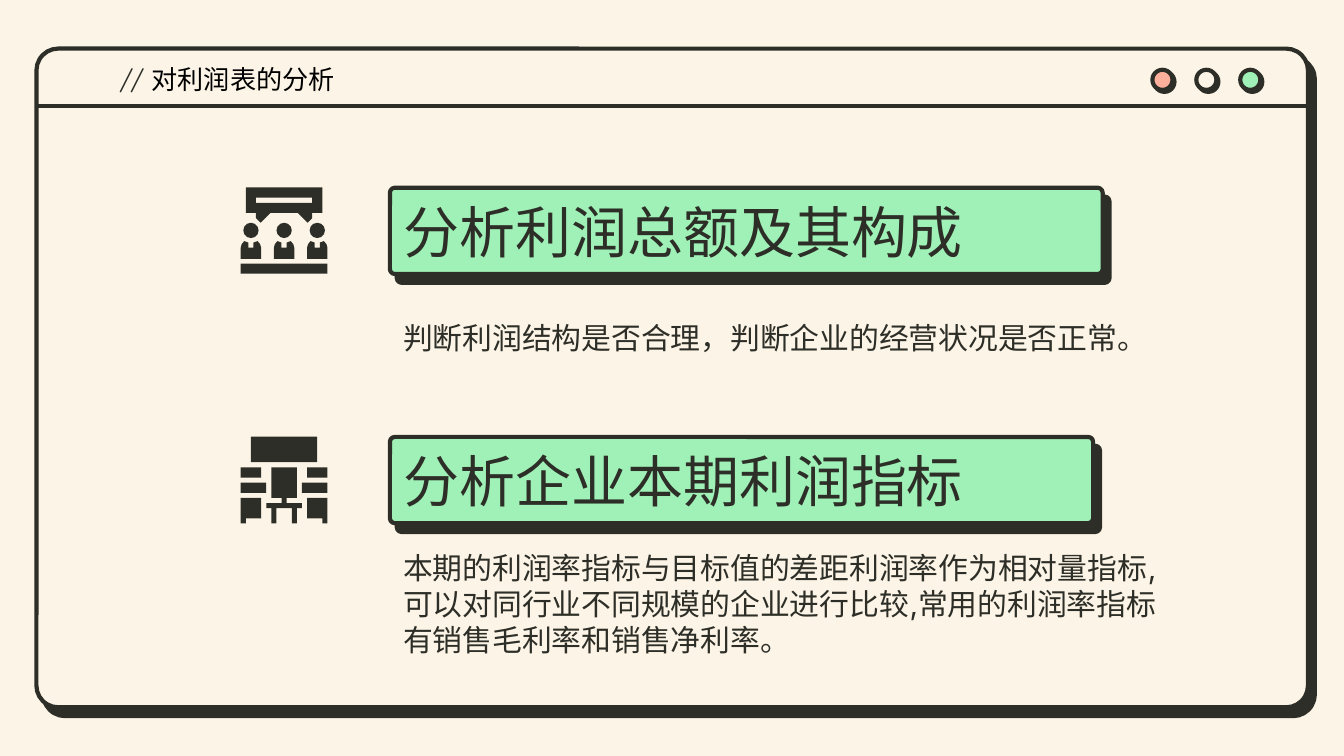
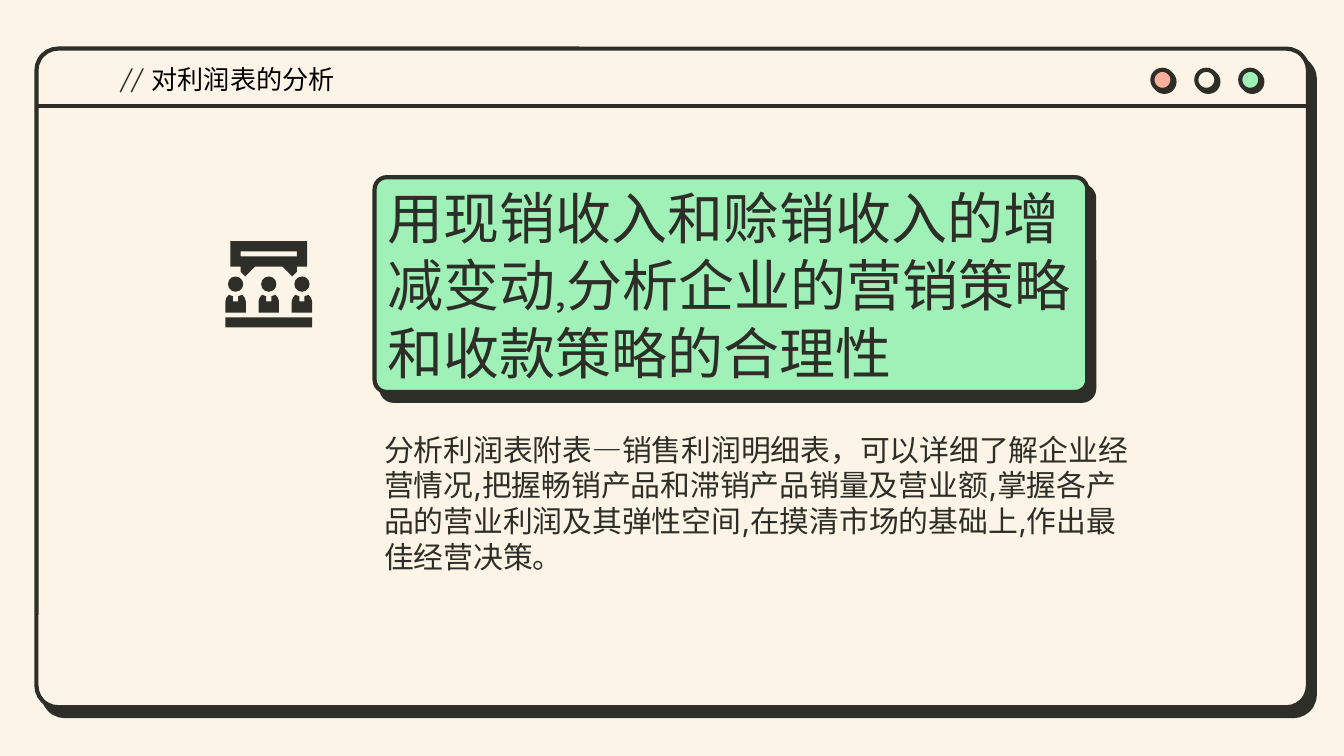
import pptx
import pptx.dml.color
import pptx.enum.shapes
import pptx.enum.text
import pptx.oxml
import pptx.oxml.ns
import pptx.util
from pptx.util import Cm

INK, CREAM, CORAL, MINT = "2D2E27", "FCF4E6", "FFB09C", "9FF1B7"
SHAPE = pptx.enum.shapes.MSO_SHAPE

# Boxes are (left, top, width, height) in centimetres
WINDOW = (0.69, 0.92, 24.03, 12.45)
ICON_SIZE = 1.64
ICON_GRID = 17  # icons are drawn on a 17 by 17 grid
ICON_OFFSET = 2.82  # from the left of the icon to the left of its banner
BODY_SIZE = (14.83, 1.35)


def color(code):
    return pptx.dml.color.RGBColor.from_string(code)


def add_effects(shape, distance=None, angle=0):
    """Replace the theme shadow by none, or by a hard one in ink."""
    namespace = pptx.oxml.ns.nsdecls("a")
    shadow = ""
    if distance:
        shadow = (
            f'<a:outerShdw blurRad="0" dist="{pptx.util.Pt(distance)}" '
            f'dir="{angle * 60000}" algn="bl" rotWithShape="0">'
            f'<a:srgbClr val="{INK}"/></a:outerShdw>'
        )
    effects = pptx.oxml.parse_xml(f"<a:effectLst {namespace}>{shadow}</a:effectLst>")
    shape._element.spPr.append(effects)


def add_panel(page, kind, box, fill, distance, angle, corner=None):
    """Outlined shape with a hard shadow."""
    panel = page.shapes.add_shape(kind, *map(Cm, box))
    if corner is not None:
        panel.adjustments[0] = corner
    panel.fill.solid()
    panel.fill.fore_color.rgb = color(fill)
    panel.line.color.rgb = color(INK)
    panel.line.width = pptx.util.Pt(2.25)
    add_effects(panel, distance, angle)


def add_text(page, box, spans, size):
    """One paragraph, centred vertically; spans are (text, font, colour)."""
    frame = page.shapes.add_textbox(*map(Cm, box)).text_frame
    frame.word_wrap = True
    frame.vertical_anchor = pptx.enum.text.MSO_ANCHOR.MIDDLE
    frame.margin_left = frame.margin_right = Cm(0.25)
    frame.margin_top = frame.margin_bottom = Cm(0.25)
    para = frame.paragraphs[0]
    # Keep punctuation inside the margin
    para._p.get_or_add_pPr().set("hangingPunct", "0")
    for text, font, code in spans:
        span = para.add_run()
        span.text = text
        span.font.name = font
        span.font.size = pptx.util.Pt(size)
        span.font.color.rgb = color(code)


def draw_window(page, box, title):
    """Browser-like frame with title, divider and three buttons."""
    left, top, width, _ = box
    add_panel(page, SHAPE.ROUNDED_RECTANGLE, box, CREAM, 6, 52, 0.033)

    # Divider below the title bar
    height = Cm(top + 1.08)
    divider = page.shapes.add_connector(
        pptx.enum.shapes.MSO_CONNECTOR.STRAIGHT, Cm(left), height, Cm(left + width), height
    )
    divider.line.color.rgb = color(INK)
    divider.line.width = pptx.util.Pt(2.25)
    add_effects(divider)

    # Buttons
    for index, fill in enumerate((CORAL, CREAM, MINT)):
        button = (left + 21.09 + index * 0.83, top + 0.4, 0.38, 0.38)
        add_panel(page, SHAPE.OVAL, button, fill, 1.5, 45)

    # Title
    spans = [("// ", "Quicksand", INK), (title, "Arial", "000000")]
    add_text(page, (left + 1.32, top + 0.12, 11.68, 0.91), spans, 14)


class Icon:
    """Group of ink shapes placed on the icon grid."""

    def __init__(self, page, left, top):
        self.shapes = page.shapes.add_group_shape().shapes
        self.left, self.top = left, top
        self.unit = ICON_SIZE / ICON_GRID

    def point(self, x, y):
        return Cm(self.left + x * self.unit), Cm(self.top + y * self.unit)

    def paint(self, shape):
        shape.fill.solid()
        shape.fill.fore_color.rgb = color(INK)
        shape.line.fill.background()
        add_effects(shape)

    def preset(self, kind, x, y, width, height):
        size = Cm(width * self.unit), Cm(height * self.unit)
        self.paint(self.shapes.add_shape(kind, *self.point(x, y), *size))

    def outline(self, *contours):
        builder = None
        for contour in contours:
            start, *others = [self.point(x, y) for x, y in contour]
            if builder is None:
                builder = self.shapes.build_freeform(*start)
            else:
                builder.move_to(*start)
            builder.add_line_segments(others, close=True)
        self.paint(builder.convert_to_shape())


def mirror(points):
    return [(ICON_GRID - x, y) for x, y in points]


def draw_audience(page, left, top):
    """Three people below a sign."""
    icon = Icon(page, left, top)
    slot = [(14, 2), (14, 3), (3, 3), (3, 2)]
    half_sign = [(1, 0), (1, 5), (3, 5), (3, 6), (3.9, 6.9), (5.8, 5)]
    icon.outline(slot, half_sign + mirror(half_sign)[::-1])
    icon.preset(SHAPE.RECTANGLE, 0, 14.9, 17, 2)
    half_body = [(1.5, 1.3), (1.5, 0.3), (0.7, 0), (0.2, 0.6), (0, 1.3), (0, 3.5)]
    body = half_body + [(4 - x, y) for x, y in half_body[::-1]]
    for x in (0, 6.5, 13):
        icon.preset(SHAPE.OVAL, x + 0.5, 6.9, 3, 3)
        icon.outline([(x + across, 10.5 + down) for across, down in body])


def draw_office(page, left, top):
    """Desk with a screen between shelves."""
    icon = Icon(page, left, top)
    half_desk = [(6, 6), (6, 12), (8, 12), (8, 13), (5, 13), (5, 14),
                 (6, 14), (6, 17), (7, 17), (7, 14)]
    icon.outline(half_desk + mirror(half_desk)[::-1])
    icon.preset(SHAPE.RECTANGLE, 2, 0, 13, 5)
    for y, width in ((9, 5), (6, 4)):
        for x in (0, ICON_GRID - width):
            icon.preset(SHAPE.RECTANGLE, x, y, width, 2)
    cabinet = [(0, 12), (0, 17), (1, 17), (1, 16), (4, 16), (4, 12)]
    icon.outline(cabinet)
    icon.outline(mirror(cabinet))


def draw_topic(page, banner, draw_icon, heading, body, body_place):
    """Icon, banner with heading, and body text placed from the banner's corner."""
    left, top, _, height = banner
    add_panel(page, SHAPE.ROUNDED_RECTANGLE, banner, MINT, 6, 52, 0.057)
    middle = top + height / 2
    add_text(page, (left, middle - 0.33, 13.46, 0.66), [(heading, "Quicksand", INK)], 30)
    across, down = body_place
    add_text(page, (left + across, top + down, *BODY_SIZE), [(body, "Inter", INK)], 16)
    draw_icon(page, left - ICON_OFFSET, middle - ICON_SIZE / 2)


# Topics of each slide: banner, icon, heading, body, body place
SLIDES = [
    [
        ((7.37, 3.55, 13.47, 1.63), draw_audience, "分析利润总额及其构成",
         "判断利润结构是否合理，判断企业的经营状况是否正常。", (0, 2.15)),
        ((7.37, 8.26, 13.29, 1.63), draw_office, "分析企业本期利润指标",
         "本期的利润率指标与目标值的差距利润率作为相对量指标,可以对同行业不同规模的企业进行比较,"
         "常用的利润率指标有销售毛利率和销售净利率。", (0, 2.48)),
    ],
    [
        ((7.08, 3.35, 13.47, 4.06), draw_audience,
         "用现销收入和赊销收入的增减变动,分析企业的营销策略和收款策略的合理性",
         "分析利润表附表—销售利润明细表，可以详细了解企业经营情况,把握畅销产品和滞销产品销量及营业额,"
         "掌握各产品的营业利润及其弹性空间,在摸清市场的基础上,作出最佳经营决策。", (-0.07, 5.48)),
    ],
]


def main():
    deck = pptx.Presentation()
    deck.slide_width, deck.slide_height = Cm(25.4), Cm(14.29)
    for topics in SLIDES:
        page = deck.slides.add_slide(deck.slide_layouts[6])
        page.background.fill.solid()
        page.background.fill.fore_color.rgb = color(CREAM)
        draw_window(page, WINDOW, "对利润表的分析")
        for topic in topics:
            draw_topic(page, *topic)
    deck.save("out.pptx")


if __name__ == "__main__":
    main()
